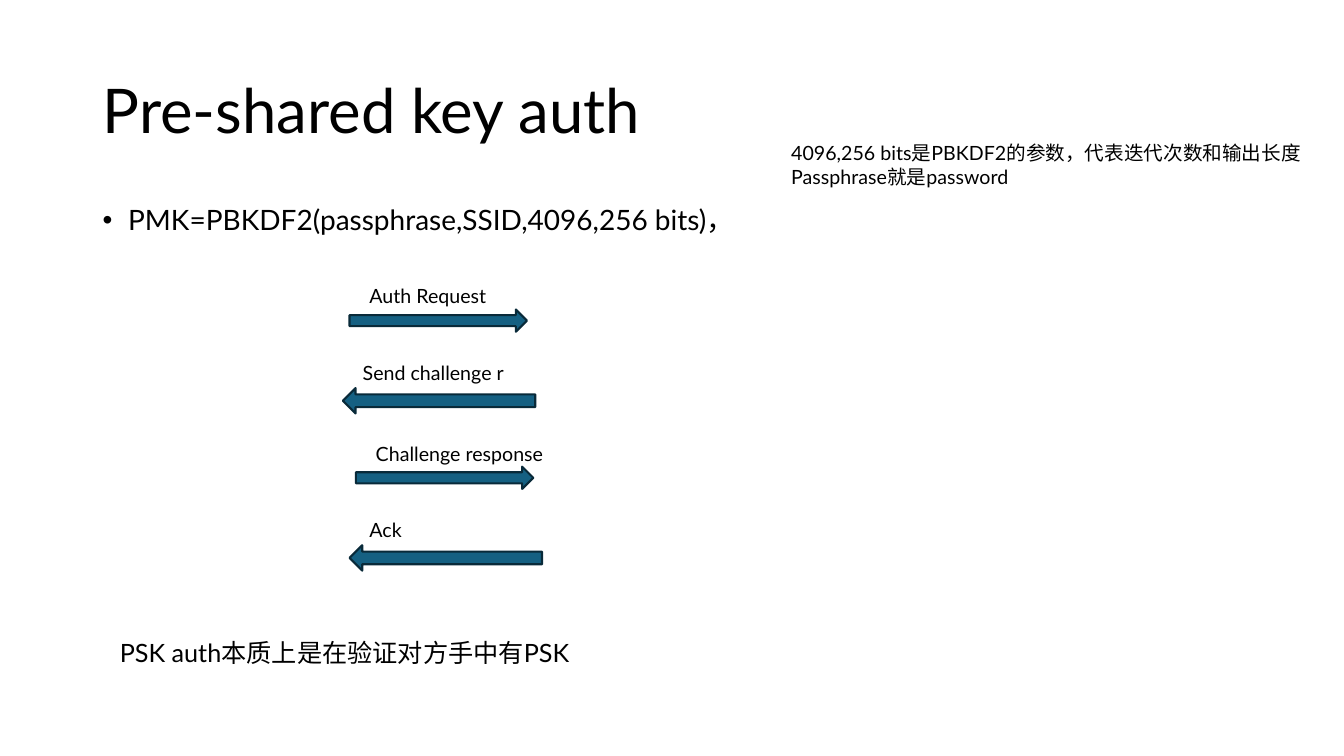
from dataclasses import dataclass
from lxml import etree
from pptx import Presentation
from pptx.dml.color import RGBColor
from pptx.enum.shapes import MSO_SHAPE as SHAPE
from pptx.enum.text import MSO_ANCHOR as ANCHOR, PP_ALIGN as ALIGN
from pptx.oxml.ns import qn
from pptx.util import Cm, Pt


@dataclass(frozen=True)
class Theme:
    font: str = "Lato"
    text: RGBColor = RGBColor(0, 0, 0)
    arrow: RGBColor = RGBColor(0x15, 0x60, 0x82)
    outline: RGBColor = RGBColor(0x09, 0x2A, 0x39)
    title: int = 44
    body: int = 20
    summary: int = 18
    note: int = 14


theme = Theme()


def add_run(p, text, size):
    r = p.add_run()
    r.text = text
    r.font.name = theme.font
    r.font.size = Pt(size)
    r.font.color.rgb = theme.text


def add_text(s, box, lines, size):
    tf = s.shapes.add_textbox(*map(Cm, box)).text_frame
    tf.word_wrap = True
    for i, line in enumerate(lines):
        p = tf.paragraphs[0] if i == 0 else tf.add_paragraph()
        add_run(p, line, size)
    return tf


prs = Presentation()
prs.slide_width, prs.slide_height = Cm(33.87), Cm(19.05)
s = prs.slides.add_slide(prs.slide_layouts[5])

title = s.shapes.title
title.left, title.top, title.width, title.height = map(Cm, (2.34, 1.02, 29.21, 3.68))
tf = title.text_frame
tf.vertical_anchor = ANCHOR.MIDDLE
p = tf.paragraphs[0]
p.alignment = ALIGN.LEFT
p.line_spacing = 0.9
add_run(p, "Pre-shared key auth", theme.title)

tf = add_text(s, (2.34, 5.08, 29.21, 12.09),
              ["PMK=PBKDF2(passphrase,SSID,4096,256 bits)，"], theme.body)
p = tf.paragraphs[0]
p.line_spacing = 0.9
p.space_before = Pt(10)
pPr = p._p.get_or_add_pPr()
pPr.set("marL", str(Cm(0.64)))
pPr.set("indent", str(-Cm(0.64)))
etree.SubElement(pPr, qn("a:buFont")).set("typeface", "Arial")
etree.SubElement(pPr, qn("a:buChar")).set("char", "•")

add_text(s, (19.69, 3.43, 14.02, 1.44),
         ["4096,256 bits是PBKDF2的参数，代表迭代次数和输出长度",
          "Passphrase就是password"], theme.note)

messages = [
    ("Auth Request", 8.81, 4.22),
    ("Send challenge r", 8.64, 4.85),
    ("Challenge response", 8.97, 4.85),
    ("Ack", 8.81, 4.85),
]
for i, (label, left, label_width) in enumerate(messages):
    top = 7.8 + 1.98 * i
    if i % 2 == 0:
        kind, width, height, rise = SHAPE.RIGHT_ARROW, 4.47, 0.56, 0.76
    else:
        kind, width, height, rise = SHAPE.LEFT_ARROW, 4.85, 0.64, 0.81
    sp = s.shapes.add_shape(kind, Cm(left), Cm(top), Cm(width), Cm(height))
    sp.shadow.inherit = False
    sp.fill.solid()
    sp.fill.fore_color.rgb = theme.arrow
    sp.line.color.rgb = theme.outline
    sp.line.width = Pt(1.5)
    add_text(s, (left + 0.25, top - rise, label_width, 0.86), [label], theme.note)

add_text(s, (2.77, 15.93, 12.14, 1.02),
         ["PSK auth本质上是在验证对方手中有PSK"], theme.summary)

prs.save("out.pptx")
